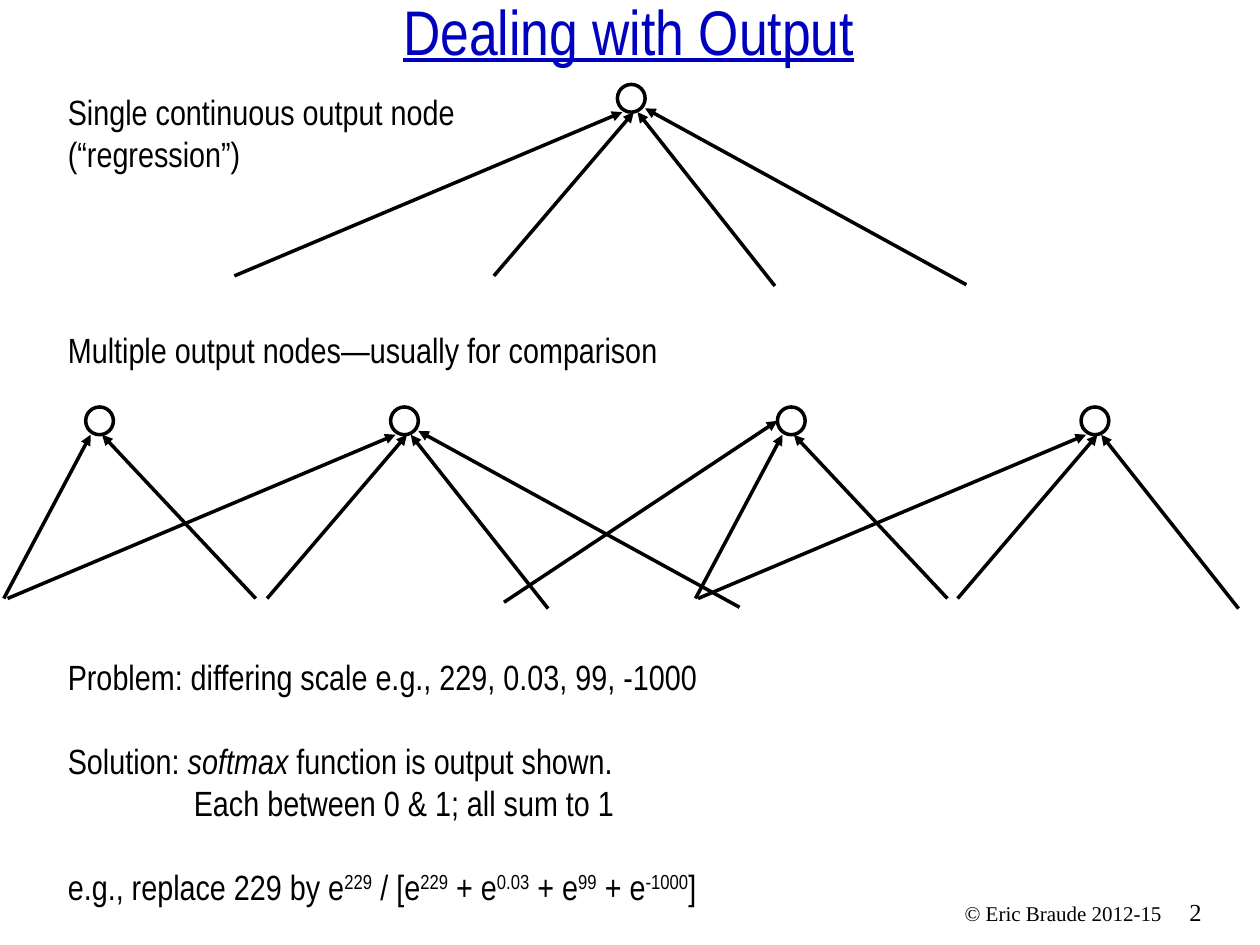
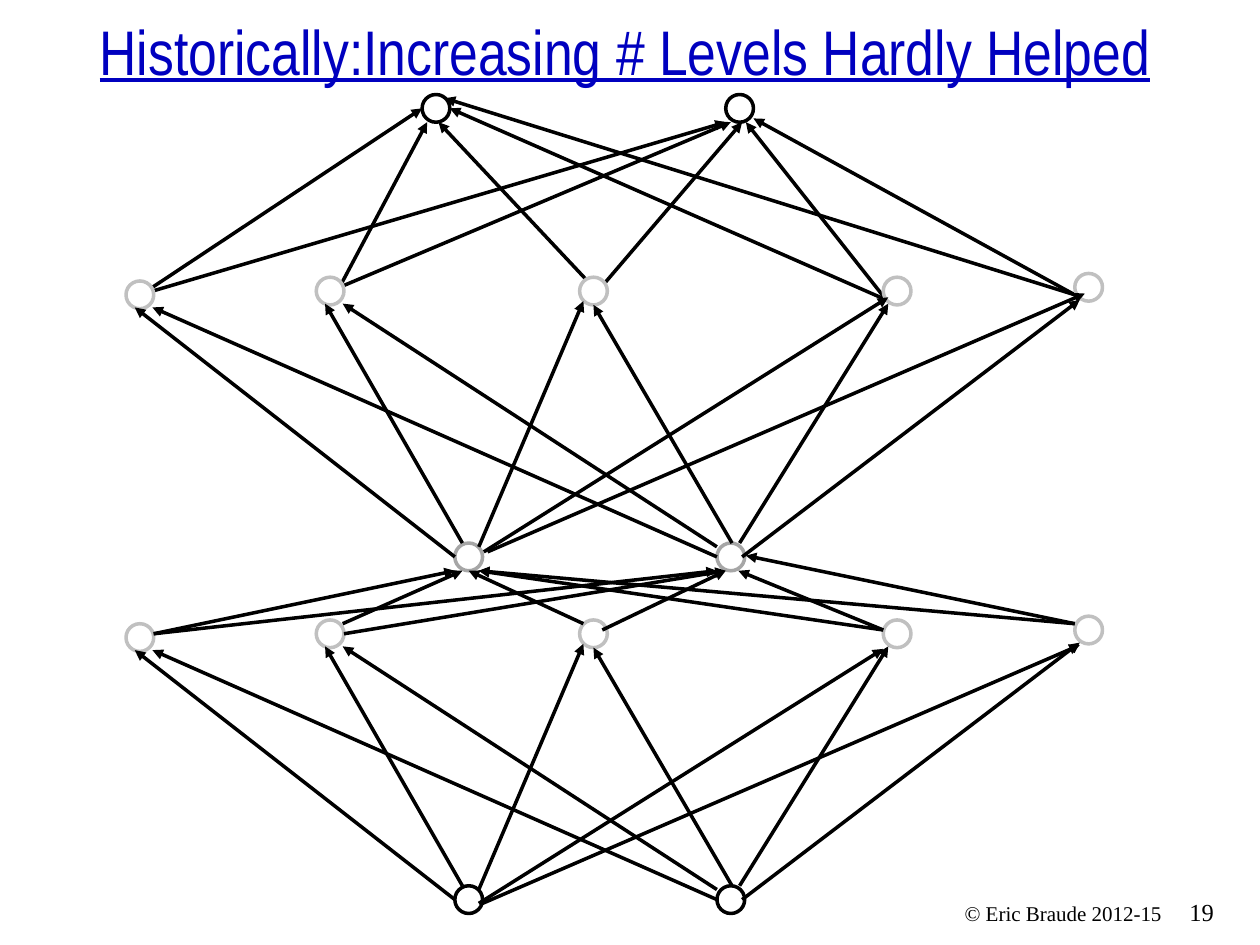
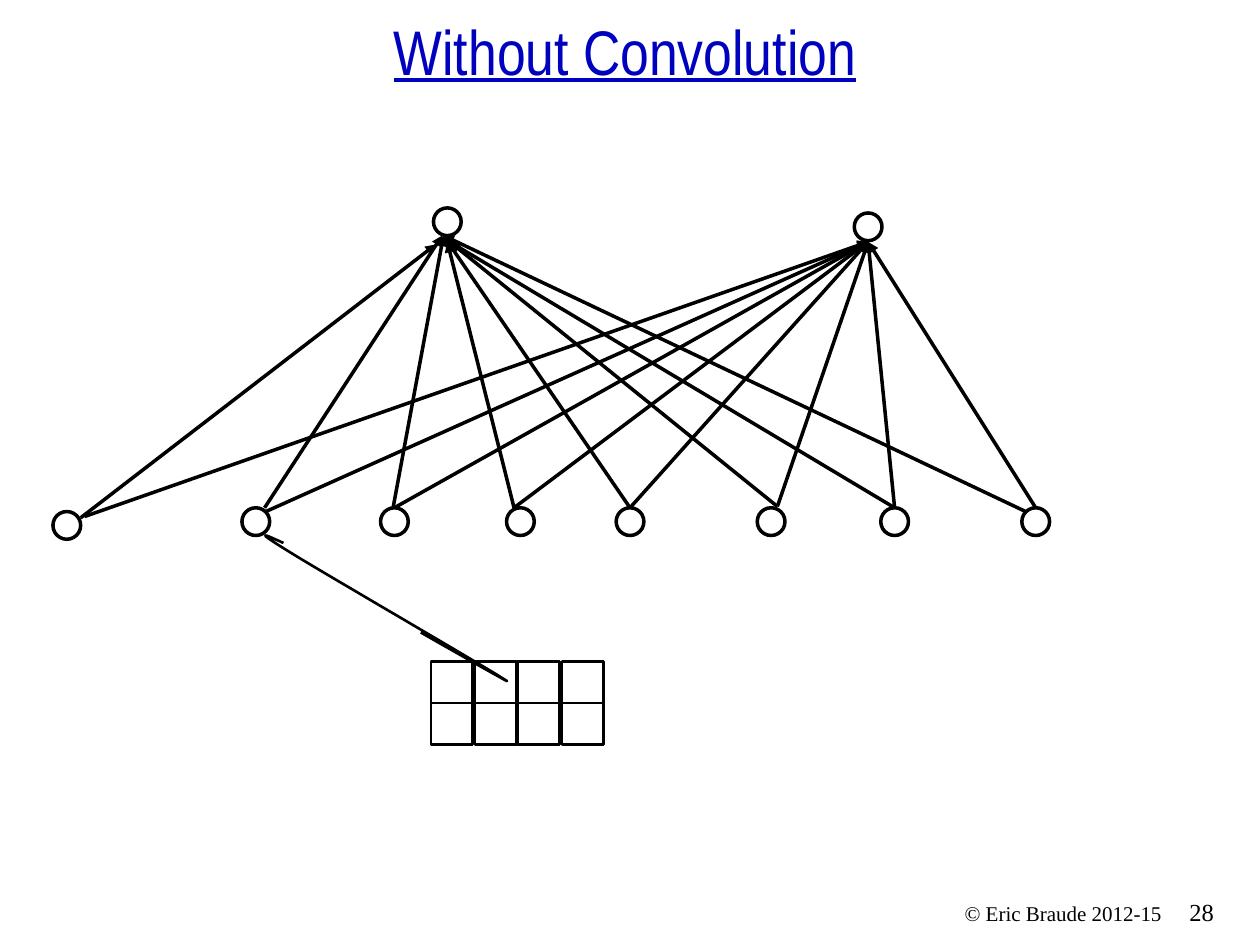
from lxml import etree
from pptx import Presentation
from pptx import util as u
from pptx.dml.color import RGBColor
from pptx.enum import shapes, text
from pptx.oxml import ns

PX = 9144
BLACK = RGBColor(0, 0, 0)
WHITE = RGBColor(255, 255, 255)
BLUE = RGBColor(0, 0, 0xBF)
SILVER = RGBColor(0xC0, 0xC0, 0xC0)
GRAY = RGBColor(0xA6, 0xA6, 0xA6)
NARROW = "Arial Narrow"
SERIF = "Times New Roman"
NODE = 22

PAIR_FAN = [(-65, 152, 4, 22), (135, 152, 13, 22)]
SIDE_EDGE = (-217, 155, 0, 11)
TRIPLE_FAN = [(-304, 152, 4, 22), (125, 160, 16, 22), (-98, 152, 13, 22)]
FULL_FAN = TRIPLE_FAN + [(277, 159, 22, 19)]


def emu(px):
    return round(px * PX)


def add_text(page, frame, lines, size, font=NARROW, color=BLACK):
    box = page.shapes.add_textbox(*map(emu, frame))
    box.text_frame.word_wrap = True
    box.text_frame.text = "\n".join(lines)
    for para in box.text_frame.paragraphs:
        for span in para.runs:
            style_span(span, size, font, color)
    return box


def style_span(span, size, font=NARROW, color=BLACK):
    span.font.size = u.Pt(size)
    span.font.name = font
    span.font.color.rgb = color


def add_mixed(para, parts, size):
    for words, kind in parts:
        span = para.add_run()
        span.text = words
        style_span(span, size)
        if kind == "italic":
            span.font.italic = True
        elif kind == "power":
            span.font._element.set("baseline", "30000")


def add_node(page, left, top, color=BLACK):
    node = page.shapes.add_shape(
        shapes.MSO_SHAPE.OVAL, *map(emu, (left, top, NODE, NODE)))
    node.shadow.inherit = False
    node.fill.solid()
    node.fill.fore_color.rgb = WHITE
    node.line.color.rgb = color
    node.line.width = u.Pt(2)


def add_edges(page, left, top, edges):
    for x1, y1, x2, y2 in edges:
        arrow = page.shapes.add_connector(
            shapes.MSO_CONNECTOR.STRAIGHT,
            *map(emu, (left + x1, top + y1, left + x2, top + y2)))
        arrow.line.color.rgb = BLACK
        arrow.line.width = u.Pt(2)
        tail = etree.SubElement(arrow.line._get_or_add_ln(), ns.qn("a:tailEnd"))
        tail.set("type", "triangle")
        etree.SubElement(arrow._element.spPr, ns.qn("a:effectLst"))


def add_fan(page, left, top, edges):
    add_node(page, left, top)
    add_edges(page, left, top, edges)


def add_page(deck, title, number, left=0, top=21):
    page = deck.slides.add_slide(deck.slide_layouts[6])
    add_text(page, (934, 707, 58, 33), [number], 14, SERIF)
    footer = add_text(page, (665, 710, 267, 30), ["© Eric Braude 2012-15"], 12, SERIF)
    footer.text_frame.paragraphs[0].alignment = text.PP_ALIGN.RIGHT
    heading = add_text(page, (left, top, 992, 54), [title], 36, NARROW, BLUE)
    heading.text_frame.vertical_anchor = text.MSO_ANCHOR.BOTTOM
    para = heading.text_frame.paragraphs[0]
    para.alignment = text.PP_ALIGN.CENTER
    para.runs[0].font.underline = True
    return page


def softmax_notes(page, left, top):
    box = add_text(page, (left, top, 556, 212),
                   ["Problem: differing scale e.g., 229, 0.03, 99, -1000"], 20)
    solution, detail, example = [box.text_frame.add_paragraph() for _ in range(3)]
    add_mixed(solution, [("Solution: ", ""), ("softmax", "italic"),
                         (" function is output shown.", "")], 20)
    add_mixed(detail, [("Each between 0 & 1; all sum to 1", "")], 20)
    detail._p.get_or_add_pPr().set("marL", str(emu(100)))
    add_mixed(example, [("e.g., replace 229 by e", ""), ("229", "power"),
                        (" / [e", ""), ("229", "power"),
                        (" + e", ""), ("0.03", "power"),
                        (" + e", ""), ("99", "power"),
                        (" + e", ""), ("-1000", "power"), ("]", "")], 20)
    for para in (solution, example):
        para.space_before = u.Pt(24)


def output_slide(deck):
    page = add_page(deck, "Dealing with Output", "2", 3, 5)
    for left, edges in ((68, PAIR_FAN), (310, FULL_FAN),
                        (617, PAIR_FAN + [SIDE_EDGE]), (858, TRIPLE_FAN)):
        add_fan(page, left, 323, edges)
    add_fan(page, 490, 67, FULL_FAN)
    add_text(page, (44, 67, 381, 77),
             ["Single continuous output node", "(“regression”)"], 20)
    add_text(page, (44, 256, 531, 44),
             ["Multiple output nodes—usually for comparison"], 20)
    softmax_notes(page, 44, 515)


def hidden_block(page, left, top, source_color, long_shift=(0, 0)):
    for x in (261, 469):
        add_node(page, left + x, top + 214, source_color)
    for x, y in ((0, 6), (151, 3), (360, 3), (601, 3), (753, 0)):
        add_node(page, left + x, top + y, SILVER)
    add_edges(page, left, top, [
        (267, 214, 158, 24), (469, 217, 172, 24), (487, 214, 605, 24),
        (280, 217, 363, 22), (481, 214, 371, 25), (261, 225, 7, 27),
        (469, 225, 21, 27), (489, 225, 757, 21)])
    dx, dy = long_shift
    add_edges(page, left + dx, top + dy, [(280, 228, 601, 26), (283, 228, 757, 23)])


def output_pair(page, left, top):
    add_fan(page, left, top,
            PAIR_FAN + [SIDE_EDGE, (366, 162, 22, 11), (518, 159, 18, 3)])
    add_fan(page, left + 241, top, FULL_FAN + [(-304, 152, 4, 22), (-465, 159, 0, 22)][1:])


def middle_edges(page, left, top):
    add_edges(page, left, top, [
        (22, 62, 261, 12), (172, 54, 267, 12), (363, 54, 272, 12),
        (22, 62, 469, 12), (378, 59, 476, 12), (601, 59, 486, 12),
        (753, 54, 492, 0), (601, 59, 280, 12), (753, 54, 280, 12),
        (173, 62, 476, 12)])


def levels_slide(deck):
    page = add_page(deck, "Historically:Increasing # Levels Hardly Helped", "19")
    hidden_block(page, 100, 489, BLACK)
    output_pair(page, 335, 75)
    hidden_block(page, 100, 217, GRAY, (4, -7))
    middle_edges(page, 100, 441)


def dense_network(page, left, top):
    add_node(page, left + 302, top)
    add_node(page, left + 636, top + 4)
    add_node(page, left, top + 241)
    for x in (150, 260, 360, 447, 559, 657, 769):
        add_node(page, left + x, top + 238)
    add_edges(page, left, top, [
        (22, 246, 304, 29), (168, 238, 309, 22), (270, 238, 310, 22),
        (366, 238, 313, 27), (458, 238, 310, 22), (575, 237, 315, 27),
        (668, 238, 315, 27), (772, 241, 310, 22)])
    starts = [(25, 245), (169, 241), (271, 238), (366, 238),
              (458, 238), (575, 237), (668, 238), (780, 238)]
    add_edges(page, left, top, [(x, y, 647, 27) for x, y in starts])


def pixel_grid(page, left, top, size=33):
    for row in range(2):
        for column in range(4):
            cell = page.shapes.add_shape(
                shapes.MSO_SHAPE.RECTANGLE,
                *map(emu, (left + round(column * 104 / 3), top + row * size, size, size)))
            cell.shadow.inherit = False
            cell.fill.background()
            cell.line.color.rgb = BLACK
            cell.line.width = u.Pt(1.5)


def curve_points(points, steps=12):
    start, first, second, end = points
    for step in range(1, steps + 1):
        t = step / steps
        weights = ((1 - t) ** 3, 3 * t * (1 - t) ** 2, 3 * t * t * (1 - t), t ** 3)
        yield tuple(
            emu(sum(w * p[axis] for w, p in zip(weights, (start, first, second, end))))
            for axis in (0, 1))


def pen_stroke(page, left, top):
    anchors = [(left + x, top + y) for x, y in (
        (15, 6), (2, 0), (-11, -6), (18, 12), (47, 30),
        (173, 103), (190, 114), (208, 125), (124, 77), (124, 77))]
    builder = page.shapes.build_freeform(*map(emu, anchors[0]))
    for first in (0, 3, 6):
        builder.add_line_segments(curve_points(anchors[first:first + 4]), close=False)
    stroke = builder.convert_to_shape()
    stroke.shadow.inherit = False
    stroke.fill.background()
    stroke.line.color.rgb = BLACK
    stroke.line.width = u.Pt(1.5)


def convolution_slide(deck):
    page = add_page(deck, "Without Convolution", "28")
    dense_network(page, 42, 165)
    pixel_grid(page, 342, 525)
    pen_stroke(page, 210, 425)


def main():
    deck = Presentation()
    deck.slide_width = emu(1000)
    deck.slide_height = emu(750)
    output_slide(deck)
    levels_slide(deck)
    convolution_slide(deck)
    deck.save("out.pptx")


if __name__ == "__main__":
    main()
